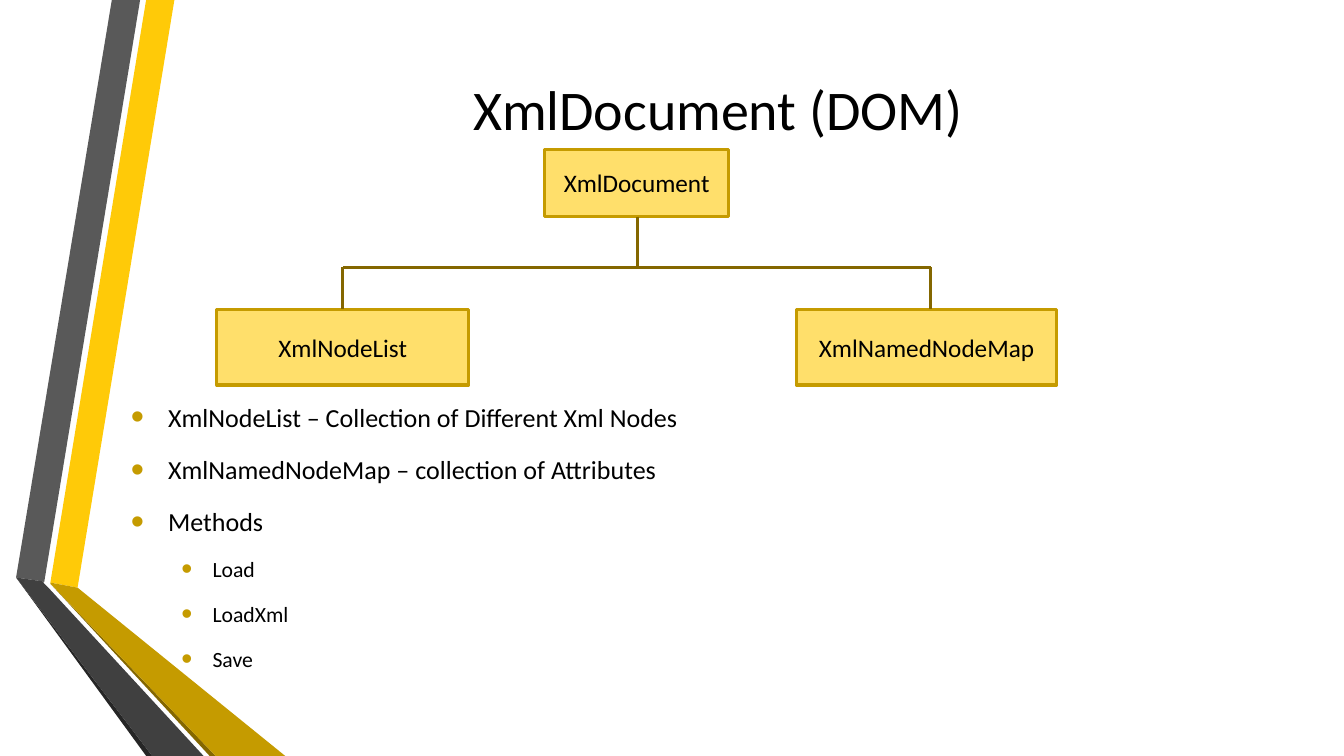
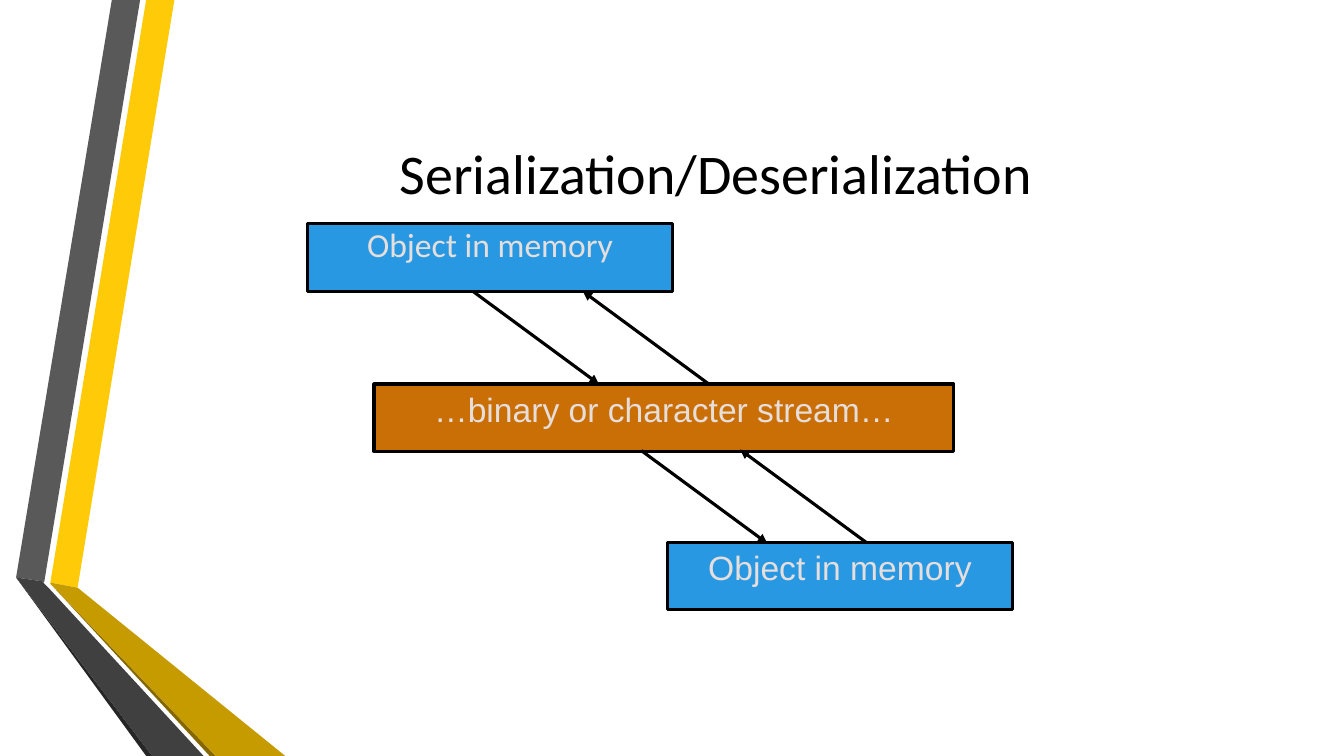
from lxml.etree import SubElement
from pptx import Presentation
from pptx.dml.color import RGBColor
from pptx.enum.shapes import MSO_CONNECTOR, MSO_SHAPE
from pptx.enum.text import MSO_ANCHOR, PP_ALIGN
from pptx.oxml.ns import qn
from pptx.util import Inches, Pt

COLORS = {
    "yellow": "FFCA08", "gold": "C59B00", "brown": "846700", "cream": "FFDF6B",
    "gray": "595959", "dark": "404040", "shade": "262626",
    "blue": "2998E3", "orange": "CA6F06", "pale": "E5DEDB", "black": "000000",
}
RIBBONS = [
    ("yellow", [(0.5, 5.78), (0.77, 5.83), (1.73, 0), (1.45, 0)]),
    ("gray", [(1.39, 0), (1.11, 0), (0.16, 5.73), (0.44, 5.77)]),
    ("shade", [(0.16, 5.73), (1.45, 7.5), (1.51, 7.5)]),
    ("brown", [(0.5, 5.79), (2.08, 7.5), (2.14, 7.5)]),
    ("gold", [(0.5, 5.79), (2.14, 7.5), (2.83, 7.5), (0.77, 5.83), (0.5, 5.78)]),
    ("dark", [(2.02, 7.5), (0.48, 5.83), (0.43, 5.78), (0.44, 5.77), (0.16, 5.73), (1.51, 7.5)]),
]


def rgb(name):
    return RGBColor.from_string(COLORS[name])


def write(p, text, size=18, font="Calibri", color="black", align=PP_ALIGN.CENTER,
          before=0, after=0, spacing=None):
    p.alignment = align
    p.space_before, p.space_after = Pt(before), Pt(after)
    if spacing:
        p.line_spacing = spacing
    r = p.add_run()
    r.text = text
    r.font.size, r.font.name = Pt(size), font
    r.font.color.rgb = rgb(color)


def add_bullet(p, margin, hang):
    pPr = p._p.get_or_add_pPr()
    pPr.set("marL", str(Inches(margin)))
    pPr.set("indent", str(-Inches(hang)))
    clr = SubElement(pPr, qn("a:buClr"))
    SubElement(clr, qn("a:srgbClr"), val=COLORS["gold"])
    SubElement(pPr, qn("a:buSzPct"), val="145000")
    SubElement(pPr, qn("a:buFont"), typeface="Arial")
    SubElement(pPr, qn("a:buChar"), char="•")


class Deck:
    line_width = Pt(2.25)

    def __init__(self):
        self.prs = Presentation()
        self.prs.slide_width, self.prs.slide_height = Inches(13.33), Inches(7.5)
        self.s = None

    def slide(self, title, left, top):
        self.s = self.prs.slides.add_slide(self.prs.slide_layouts[6])
        for color, points in RIBBONS:
            self.ribbon(color, points)
        tf = self.text_box(left, top, 10.96, 1.92, MSO_ANCHOR.MIDDLE)
        write(tf.paragraphs[0], title, size=40)

    def ribbon(self, color, points):
        (x, y), *rest = [(Inches(x), Inches(y)) for x, y in points]
        builder = self.s.shapes.build_freeform(x, y)
        builder.add_line_segments(rest, close=True)
        sp = builder.convert_to_shape()
        sp.shadow.inherit = False
        sp.fill.solid()
        sp.fill.fore_color.rgb = rgb(color)
        sp.line.fill.background()

    def text_box(self, x, y, w, h, anchor=MSO_ANCHOR.TOP):
        tf = self.s.shapes.add_textbox(Inches(x), Inches(y), Inches(w), Inches(h)).text_frame
        tf.word_wrap = True
        tf.vertical_anchor = anchor
        return tf

    def bullets(self, items, x, y, w, h):
        tf = self.text_box(x, y, w, h)
        for i, (level, text) in enumerate(items):
            p = tf.add_paragraph() if i else tf.paragraphs[0]
            p.level = level
            size, before = (15.5, 7.5) if level else (18.6, 9)
            write(p, text, size=size, align=PP_ALIGN.LEFT, before=before if i else 0, after=6)
            add_bullet(p, *((0.81, 0.31) if level else (0.37, 0.37)))

    def box(self, text, x, y, w, h, fill, line, anchor=MSO_ANCHOR.TOP, wrap=True, **fmt):
        sp = self.s.shapes.add_shape(MSO_SHAPE.RECTANGLE, Inches(x), Inches(y), Inches(w), Inches(h))
        sp.shadow.inherit = False
        sp.fill.solid()
        sp.fill.fore_color.rgb = rgb(fill)
        sp.line.color.rgb = rgb(line)
        sp.line.width = self.line_width
        tf = sp.text_frame
        tf.word_wrap = wrap
        tf.vertical_anchor = anchor
        write(tf.paragraphs[0], text, **fmt)

    def line(self, x1, y1, x2, y2, color="black", arrow=False):
        c = self.s.shapes.add_connector(MSO_CONNECTOR.STRAIGHT, Inches(x1), Inches(y1),
                                        Inches(x2), Inches(y2))
        c.line.color.rgb = rgb(color)
        c.line.width = self.line_width
        if arrow:
            SubElement(c.line._get_or_add_ln(), qn("a:tailEnd"), type="triangle")
        SubElement(c._element.spPr, qn("a:effectLst"))


def dom_slide(deck):
    deck.slide("XmlDocument (DOM)", 1.64, 0.11)
    deck.bullets([
        (0, "XmlNodeList – Collection of Different Xml Nodes"),
        (0, "XmlNamedNodeMap – collection of Attributes"),
        (0, "Methods"),
        (1, "Load"),
        (1, "LoadXml"),
        (1, "Save"),
    ], 1.2, 3.93, 11, 2.9)
    for text, x, y, w, h in [
        ("XmlDocument", 5.4, 1.48, 1.83, 0.67),
        ("XmlNodeList", 2.15, 3.07, 2.5, 0.75),
        ("XmlNamedNodeMap", 7.9, 3.07, 2.58, 0.75),
    ]:
        deck.box(text, x, y, w, h, "cream", "gold", anchor=MSO_ANCHOR.MIDDLE, wrap=False)
    left, middle, right, bar = 3.4, 6.32, 9.23, 2.65
    deck.line(left, bar, right, bar, "brown")
    deck.line(middle, 2.15, middle, bar, "brown")
    for x in (left, right):
        deck.line(x, bar, x, 3.07, "brown")


def serialization_slide(deck):
    deck.slide("Serialization/Deserialization", 1.62, 0.75)
    for text, x, y, w, fill, font, spacing in [
        ("Object in memory", 3.05, 2.22, 3.62, "blue", "Calibri", 0.9),
        ("…binary or character stream…", 3.71, 3.81, 5.75, "orange", "Arial", None),
        ("Object in memory", 6.62, 5.38, 3.42, "blue", "Arial", None),
    ]:
        deck.box(text, x, y, w, 0.67, fill, "black", size=24, font=font,
                 color="pale", spacing=spacing)
    dx, dy = 1.25, 0.92
    for x, y in [(4.69, 2.89), (6.36, 4.47)]:
        deck.line(x, y, x + dx, y + dy, arrow=True)
    for x, y in [(5.78, 2.89), (7.34, 4.46)]:
        deck.line(x + dx, y + dy, x, y, arrow=True)


def main():
    deck = Deck()
    dom_slide(deck)
    serialization_slide(deck)
    deck.prs.save("out.pptx")


if __name__ == "__main__":
    main()
